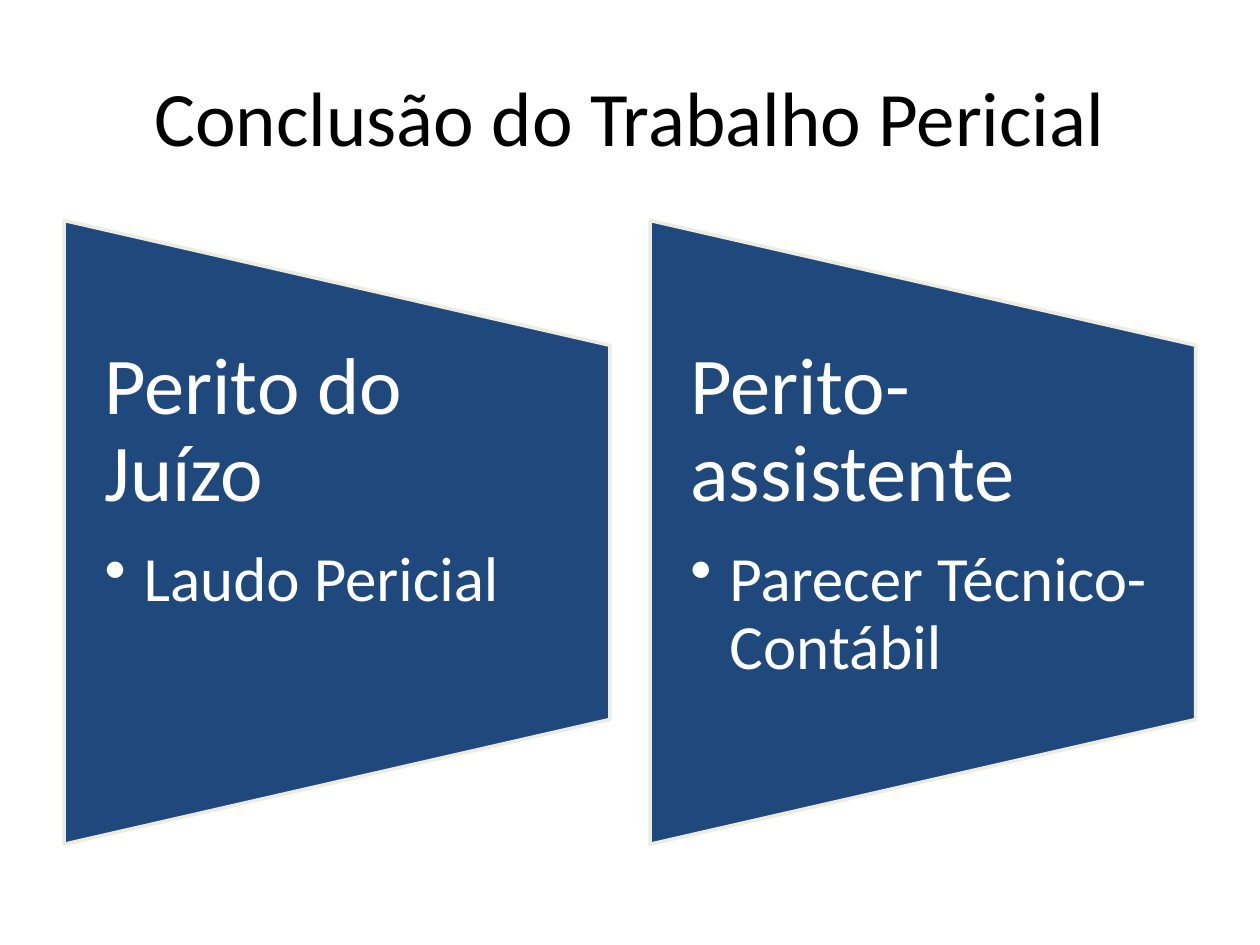
from lxml.etree import SubElement as Sub
from pptx import Presentation
from pptx.dml.color import RGBColor as Rgb
from pptx.enum.shapes import MSO_SHAPE as Geo
from pptx.enum.text import MSO_ANCHOR as Anchor, PP_ALIGN as Align
from pptx.oxml.ns import qn
from pptx.util import Inches, Pt


def color(code):
    return Rgb.from_string(code)


class Deck:
    font, ink, light = "Calibri", "000000", "FFFFFF"
    navy, cream = "1F497D", "EEECE1"

    def __init__(self):
        self.show = Presentation()
        self.show.slide_width, self.show.slide_height = Inches(10), Inches(7.5)
        self.slide = self.show.slides.add_slide(self.show.slide_layouts[6])

    def box(self, x, y, w, h, **style):
        area = self.slide.shapes.add_textbox(*map(Inches, (x, y, w, h)))
        frame = area.text_frame
        frame.word_wrap = True
        for key, value in style.items():
            setattr(frame, key, value)
        return frame

    def label(self, para, text, size, tint, **style):
        for key, value in style.items():
            setattr(para, key, value)
        run = para.add_run()
        run.text = text
        for key, value in {"name": self.font, "size": Pt(size)}.items():
            setattr(run.font, key, value)
        run.font.color.rgb = color(tint)

    def bullet(self, para, indent):
        props = para._p.get_or_add_pPr()
        props.set("marL", str(Inches(indent)))
        props.set("indent", str(-Inches(indent)))
        Sub(props, qn("a:buChar")).set("char", "•")

    def title(self, text):
        frame = self.box(0.5, 0.29, 9, 1.25, vertical_anchor=Anchor.MIDDLE)
        self.label(frame.paragraphs[0], text, 44, self.ink, alignment=Align.CENTER)

    def panel(self, x, y, w, h):
        shape = self.slide.shapes.add_shape(
            Geo.FLOWCHART_MANUAL_OPERATION,
            *map(Inches, (x + (w - h) / 2, y + (h - w) / 2, h, w)))
        shape.rotation = 270
        shape.shadow.inherit = False
        shape.fill.solid()
        shape.fill.fore_color.rgb = color(self.navy)
        shape.line.color.rgb = color(self.cream)
        shape.line.width = Pt(2)

    def card(self, x, head, item):
        y, w, h = 1.75, 4.33, 4.95
        self.panel(x, y, w, h)
        frame = self.box(x, y + h / 5, w, h * 3 / 5,
                         margin_left=Inches(0.32), margin_right=Inches(0.32),
                         margin_top=0, margin_bottom=0)
        self.label(frame.paragraphs[0], head, 46, self.light,
                   line_spacing=0.9, space_after=Pt(16))
        para = frame.add_paragraph()
        para.line_spacing = 0.9
        self.bullet(para, 0.31)
        self.label(para, item, 36, self.light, level=1)


def main():
    deck = Deck()
    deck.title("Conclusão do Trabalho Pericial")
    cards = [("Perito do Juízo", "Laudo Pericial"),
             ("Perito-assistente", "Parecer Técnico-Contábil")]
    for i, (head, item) in enumerate(cards):
        deck.card(0.51 + i * 4.65, head, item)
    deck.show.save("out.pptx")


if __name__ == "__main__":
    main()
